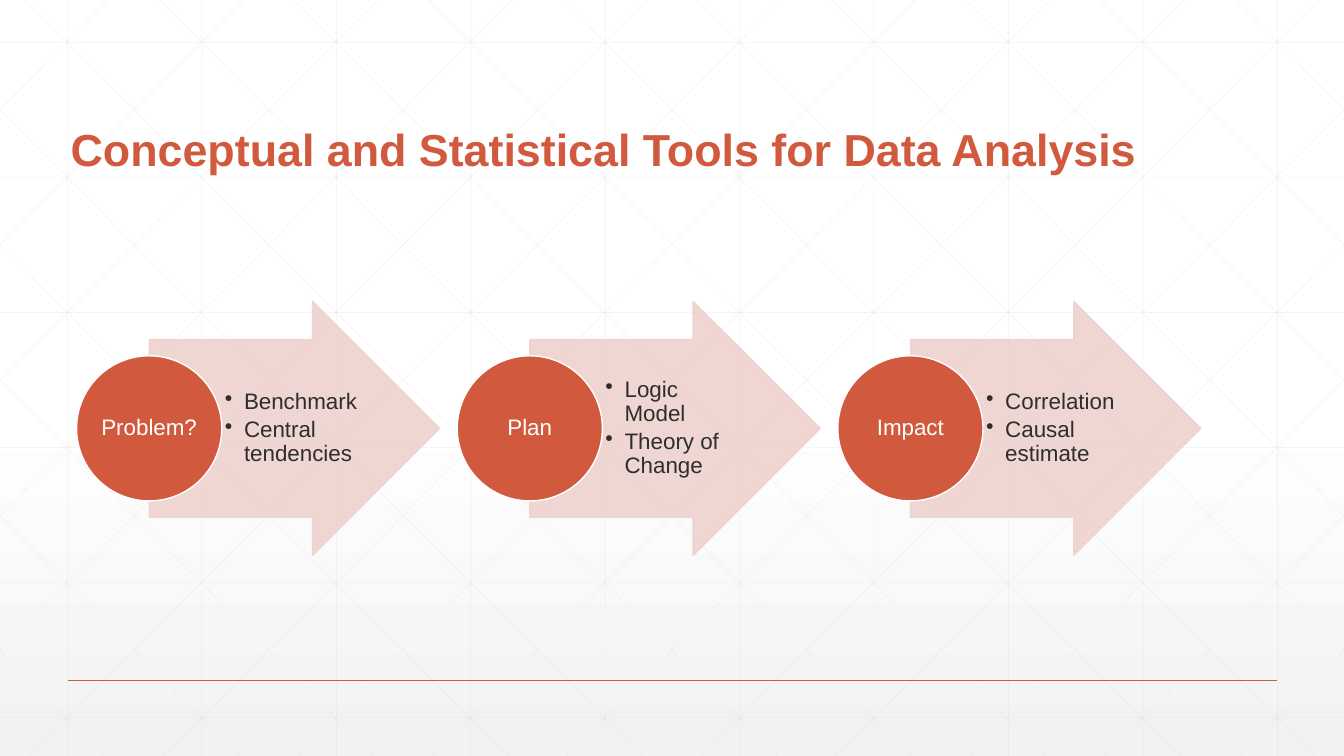
from copy import deepcopy
from dataclasses import dataclass

from lxml.etree import SubElement
from pptx import Presentation
from pptx.dml.color import RGBColor as RGB
from pptx.enum.shapes import MSO_CONNECTOR as CONNECTOR, MSO_SHAPE as SHAPE
from pptx.enum.text import MSO_ANCHOR as ANCHOR, PP_ALIGN as ALIGN
from pptx.oxml.ns import qn
from pptx.util import Inches, Pt


@dataclass(frozen=True)
class Theme:
    font: str = "Arial"
    title_size: int = 32
    body_size: int = 16
    accent: RGB = RGB(0xD1, 0x5A, 0x3E)
    arrow: RGB = RGB(0xEE, 0xD2, 0xCE)
    text: RGB = RGB(0x2D, 0x2E, 0x2D)
    white: RGB = RGB(0xFF, 0xFF, 0xFF)
    grid: RGB = RGB(0xD9, 0xD9, 0xD9)
    shade: RGB = RGB(0xF2, 0xF2, 0xF2)


THEME = Theme()
WIDTH, HEIGHT = 13.33, 7.5
GRID_STEP = 4 / 3
STAGE_STEP = 3.775
STAGES = [
    ("Problem?", ["Benchmark", "Central tendencies"]),
    ("Plan", ["Logic Model", "Theory of Change"]),
    ("Impact", ["Correlation", "Causal estimate"]),
]


def set_alpha(element, percent):
    for color in element.iter(qn("a:srgbClr")):
        SubElement(color, qn("a:alpha"), val=str(percent * 1000))


def add_line(slide, start, end, color, width, alpha=100):
    ends = [Inches(v) for v in (*start, *end)]
    line = slide.shapes.add_connector(CONNECTOR.STRAIGHT, *ends)
    line.line.color.rgb = color
    line.line.width = Pt(width)
    props = line.element.spPr
    if alpha < 100:
        set_alpha(props, alpha)
    SubElement(props, qn("a:effectLst"))


def add_shape(slide, kind, box, fill, outline):
    sp = slide.shapes.add_shape(kind, *[Inches(v) for v in box])
    sp.shadow.inherit = False
    sp.fill.solid()
    sp.fill.fore_color.rgb = fill
    sp.line.color.rgb = outline
    sp.line.width = Pt(1)
    return sp


def set_insets(tf, left, top, right, bottom):
    tf.margin_left, tf.margin_top = Inches(left), Inches(top)
    tf.margin_right, tf.margin_bottom = Inches(right), Inches(bottom)


def style_paragraph(p, size, color, bold=False):
    p.line_spacing = 0.9
    for r in p.runs:
        r.font.name = THEME.font
        r.font.size = Pt(size)
        r.font.bold = bold
        r.font.color.rgb = color


def add_bullet(p):
    props = p._p.get_or_add_pPr()
    indent = Inches(0.19)
    props.set("marL", str(indent))
    props.set("indent", str(-indent))
    SubElement(props, qn("a:buChar"), char="•")


def shade_background(slide):
    fill = slide.background.fill
    fill.gradient()
    fill.gradient_angle = 270
    for stop, color in zip(fill.gradient_stops, (THEME.white, THEME.shade)):
        stop.color.rgb = color
    stops = slide.element.find(".//" + qn("a:gsLst"))
    middle = deepcopy(stops[0])
    middle.set("pos", "53000")
    stops.insert(1, middle)


def add_grid(slide):
    def grid_line(start, end):
        add_line(slide, start, end, THEME.grid, 0.5, alpha=25)

    for i in range(10):
        x = 0.67 + i * GRID_STEP
        grid_line((x, 0), (x, HEIGHT))
    for i in range(6):
        y = 0.42 + i * 1.34
        grid_line((0, y), (WIDTH, y))
    slope = 7.5 / 7.455
    for i in range(-5, 10):
        x = 0.25 + i * GRID_STEP
        left, right = max(x, 0), min(x + HEIGHT / slope, WIDTH)
        top, bottom = (left - x) * slope, (right - x) * slope
        grid_line((left, top), (right, bottom))
        grid_line((WIDTH - left, top), (WIDTH - right, bottom))


def set_title(slide, text):
    title = slide.shapes.title
    title.element.getparent().append(title.element)  # bring above the grid
    title.left, title.top = Inches(0.6), Inches(0.55)
    title.width, title.height = Inches(12.31), Inches(1.25)
    tf = title.text_frame
    tf.text = text
    tf.word_wrap = True
    tf.vertical_anchor = ANCHOR.BOTTOM
    p = tf.paragraphs[0]
    p.alignment = ALIGN.LEFT
    style_paragraph(p, THEME.title_size, THEME.accent, bold=True)


def add_stage(slide, left, name, tools):
    """Add an arrow listing the tools, with the named circle at its tail."""
    arrow = add_shape(slide, SHAPE.RIGHT_ARROW, (left + 0.72, 2.99, 2.88, 2.52),
                      THEME.arrow, THEME.arrow)
    arrow.adjustments[0], arrow.adjustments[1] = 0.7, 0.5
    set_alpha(arrow.element.spPr, 90)

    box = [Inches(v) for v in (left + 1.43, 3.37, 1.4, 1.76)]
    tf = slide.shapes.add_textbox(*box).text_frame
    tf.text = "\n".join(tools)
    tf.word_wrap = True
    tf.vertical_anchor = ANCHOR.MIDDLE
    set_insets(tf, 0.04, 0.01, 0.02, 0.01)
    for p in tf.paragraphs:
        style_paragraph(p, THEME.body_size, THEME.text)
        p.space_after = Pt(2.8)
        add_bullet(p)

    circle = add_shape(slide, SHAPE.OVAL, (left, 3.53, 1.44, 1.44),
                       THEME.accent, THEME.white)
    tf = circle.text_frame
    tf.text = name
    tf.word_wrap = True
    tf.vertical_anchor = ANCHOR.MIDDLE
    set_insets(tf, 0.01, 0.01, 0.01, 0.01)
    p = tf.paragraphs[0]
    p.alignment = ALIGN.CENTER
    style_paragraph(p, THEME.body_size, THEME.white)


def main():
    prs = Presentation()
    prs.slide_width, prs.slide_height = Inches(WIDTH), Inches(HEIGHT)
    slide = prs.slides.add_slide(prs.slide_layouts.get_by_name("Title Only"))
    shade_background(slide)
    add_grid(slide)
    add_line(slide, (0.67, 6.75), (12.67, 6.75), THEME.accent, 1)
    set_title(slide, "Conceptual and Statistical Tools for Data Analysis")
    for i, (name, tools) in enumerate(STAGES):
        add_stage(slide, 0.76 + i * STAGE_STEP, name, tools)
    prs.save("out.pptx")


if __name__ == "__main__":
    main()
